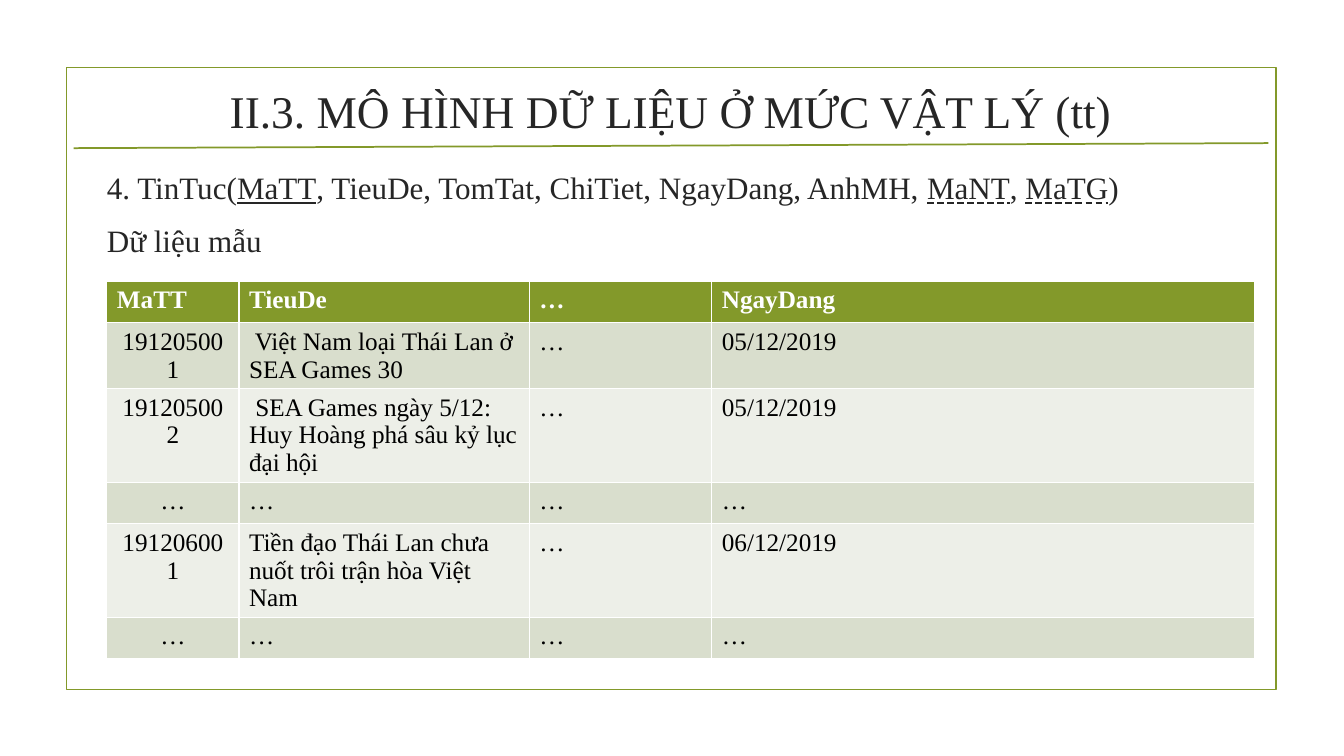
from dataclasses import dataclass
from pptx import Presentation as Deck
from pptx.dml.color import RGBColor as Color
from pptx.enum.shapes import MSO_CONNECTOR as Link, MSO_SHAPE as Shape
from pptx.enum.text import MSO_ANCHOR as Anchor, MSO_AUTO_SIZE as Fit
from pptx.enum.text import MSO_UNDERLINE as Under, PP_ALIGN as Align
from pptx.oxml.ns import qn
from pptx.util import Inches, Pt


@dataclass(frozen=True)
class Theme:
    font: str = "Times New Roman"
    ink: str = "262626"
    green: str = "83992A"
    white: str = "FFFFFF"
    black: str = "000000"
    bands: tuple = ("D9DECD", "EDEFE8")
    title: float = 32.4
    body: float = 22.2
    cell: float = 18
    line: float = 1.25


class Page:
    def __init__(self, deck, theme):
        self.theme = theme
        self.slide = deck.slides.add_slide(deck.slide_layouts[1])

    def style(self, run, size, color, bold=False):
        font = run.font
        font.name, font.size, font.bold = self.theme.font, Pt(size), bold
        font.color.rgb = Color.from_string(color)

    def stroke(self, line):
        line.color.rgb = Color.from_string(self.theme.green)
        line.width = Pt(self.theme.line)

    def place(self, shape, box):
        shape.left, shape.top, shape.width, shape.height = map(Inches, box)
        shape.text_frame.auto_size = Fit.NONE

    def title(self, text, box):
        shape = self.slide.shapes.title
        self.place(shape, box)
        frame = shape.text_frame
        frame.text = text
        frame.vertical_anchor = Anchor.MIDDLE
        frame.paragraphs[0].alignment = Align.CENTER
        self.style(frame.paragraphs[0].runs[0], self.theme.title, self.theme.ink)

    def body(self, lines, box):
        shape = self.slide.placeholders[1]
        self.place(shape, box)
        frame = shape.text_frame
        for i, parts in enumerate(lines):
            para = frame.add_paragraph() if i else frame.paragraphs[0]
            para.space_before, para.space_after = Pt(5), Pt(6)
            props = para._p.get_or_add_pPr()
            props.set("marL", "0")
            props.set("indent", "0")
            props.append(props.makeelement(qn("a:buNone"), {}))
            for text, under in parts:
                run = para.add_run()
                run.text = text
                self.style(run, self.theme.body, self.theme.ink)
                run.font.underline = under

    def frame(self, box):
        rect = self.slide.shapes.add_shape(Shape.RECTANGLE, *map(Inches, box))
        rect.shadow.inherit = False
        rect.fill.background()
        self.stroke(rect.line)

    def rule(self, ends):
        line = self.slide.shapes.add_connector(Link.STRAIGHT, *map(Inches, ends))
        self.stroke(line.line)
        props = line._element.spPr
        props.append(props.makeelement(qn("a:effectLst"), {}))

    def table(self, rows, left, top, widths, height):
        box = left, top, sum(widths), height * len(rows)
        grid = self.slide.shapes.add_table(
            len(rows), len(widths), *map(Inches, box)).table
        for col, width in zip(grid.columns, widths):
            col.width = Inches(width)
        for r, row in enumerate(rows):
            for c, text in enumerate(row):
                self.cell(grid.cell(r, c), text, r, c)

    def cell(self, cell, text, row, col):
        theme, head = self.theme, row == 0
        fill = theme.green if head else theme.bands[(row - 1) % 2]
        cell.fill.solid()
        cell.fill.fore_color.rgb = Color.from_string(fill)
        para = cell.text_frame.paragraphs[0]
        para.text = text
        para.alignment = Align.CENTER if col == 0 and not head else Align.LEFT
        color = theme.white if head else theme.black
        self.style(para.runs[0], theme.cell, color, head)


def main():
    deck = Deck()
    deck.slide_width, deck.slide_height = Inches(13.33), Inches(7.5)
    page = Page(deck, Theme())
    page.frame((0.66, 0.67, 12, 6.17))
    page.rule((0.73, 1.47, 12.58, 1.42))
    page.title("II.3. MÔ HÌNH DỮ LIỆU Ở MỨC VẬT LÝ (tt)", (0.72, 0.76, 11.86, 0.67))
    dash = Under.DASH_LINE
    page.body([
        [("4. TinTuc(", False), ("MaTT", True),
         (", TieuDe, TomTat, ChiTiet, NgayDang, AnhMH, ", False),
         ("MaNT", dash), (", ", False), ("MaTG", dash), (")", False)],
        [("Dữ liệu mẫu", False)],
    ], (0.96, 1.62, 11.48, 1.04))
    gap = ["…"] * 4
    page.table([
        ["MaTT", "TieuDe", "…", "NgayDang"],
        ["191205001", " Việt Nam loại Thái Lan ở SEA Games 30", "…", "05/12/2019"],
        ["191205002", " SEA Games ngày 5/12: Huy Hoàng phá sâu kỷ lục đại hội",
         "…", "05/12/2019"],
        gap,
        ["191206001", "Tiền đạo Thái Lan chưa nuốt trôi trận hòa Việt Nam",
         "…", "06/12/2019"],
        gap,
    ], 1.06, 2.79, (1.31, 2.88, 1.81, 5.38), 0.41)
    deck.save("out.pptx")


if __name__ == "__main__":
    main()
